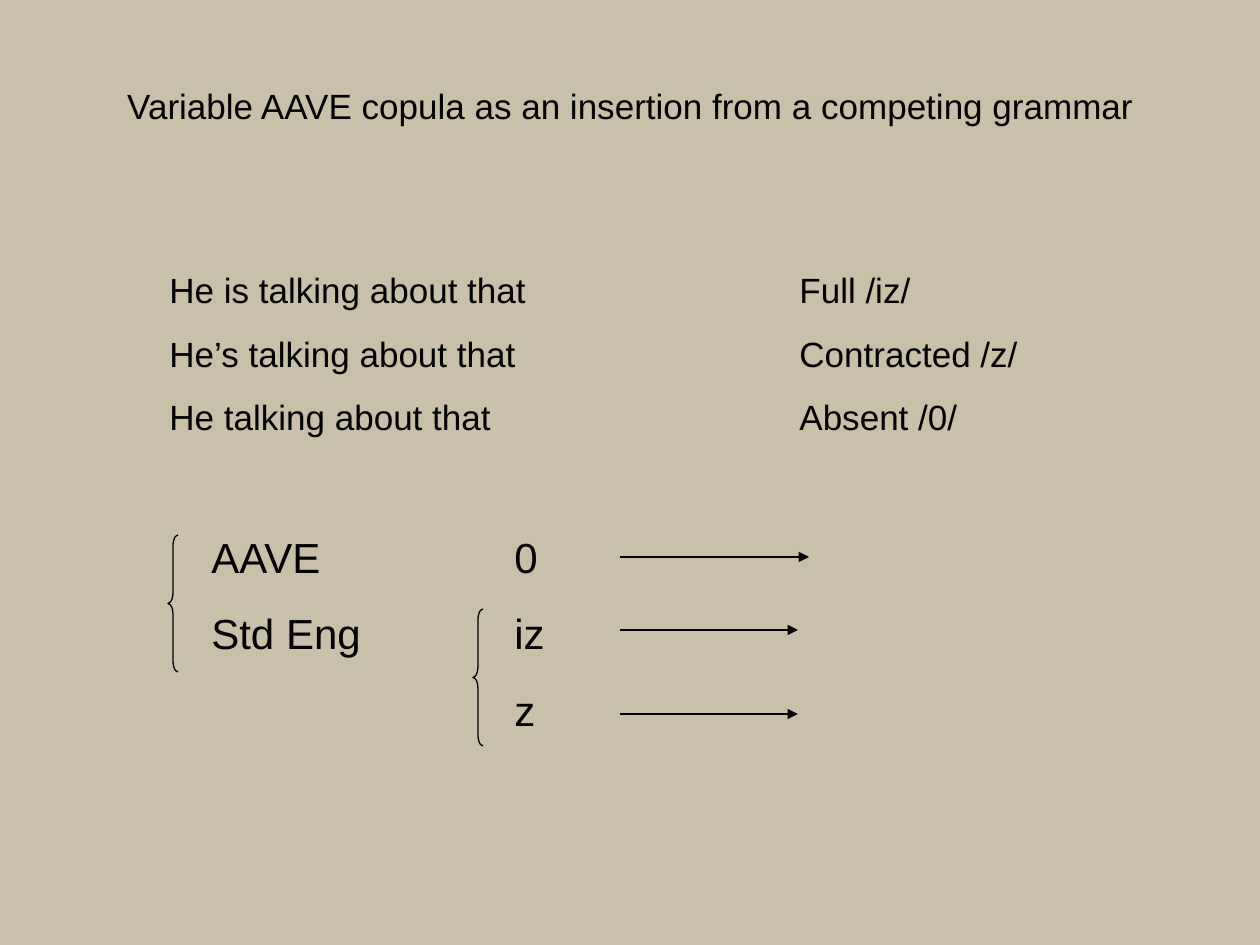
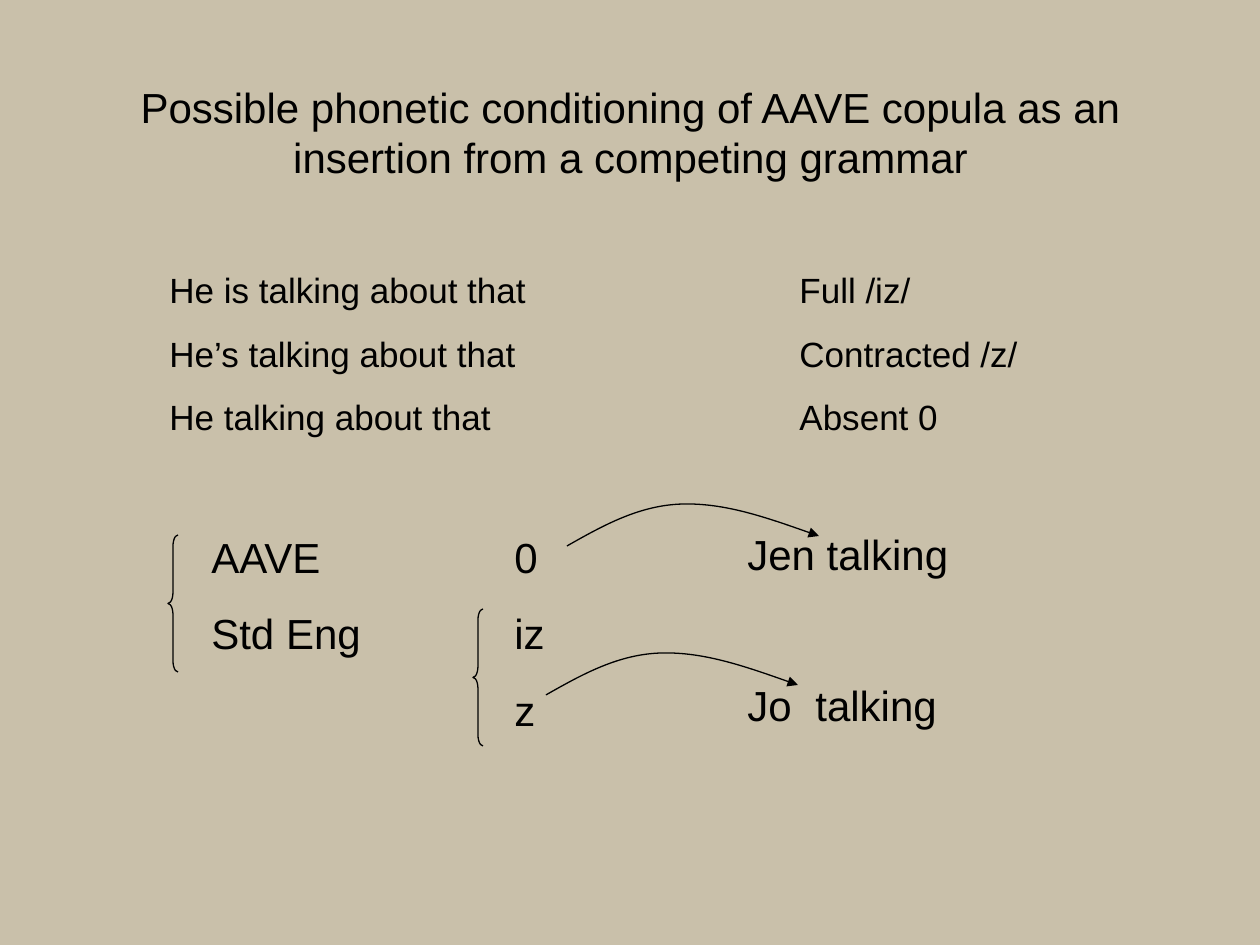
from lxml.etree import SubElement
from pptx import Presentation
from pptx.dml.color import RGBColor
from pptx.enum.shapes import MSO_CONNECTOR, MSO_SHAPE
from pptx.enum.text import MSO_ANCHOR, MSO_AUTO_SIZE, PP_ALIGN
from pptx.oxml.ns import qn
from pptx.util import Inches, Pt

PX = 7257  # EMU in one px, 126 px to the inch
COLORS = {"background": "C9C0AA", "ink": "000000"}
INK = RGBColor.from_string(COLORS["ink"])
FONT = "Arial"


def write(shape, lines, at, size=24, gap=0, tab=None, align=PP_ALIGN.LEFT, anchor=MSO_ANCHOR.TOP):
    """Place a text shape and fill it; gap is the space before each later line."""
    shape.left, shape.top, shape.width, shape.height = (v * PX for v in at)
    frame = shape.text_frame
    frame.word_wrap = True
    frame.auto_size = MSO_AUTO_SIZE.NONE
    frame.vertical_anchor = anchor
    for number, line in enumerate(lines):
        paragraph = frame.add_paragraph() if number else frame.paragraphs[0]
        if tab:
            tabs = SubElement(paragraph._p.get_or_add_pPr(), qn("a:tabLst"))
            SubElement(tabs, qn("a:tab"), pos=str(tab * PX), algn="l")
        paragraph.alignment = align
        paragraph.space_before = Pt(gap if number else 0)
        run = paragraph.add_run()
        run.text = line
        run.font.name = FONT
        run.font.size = Pt(size)
        run.font.color.rgb = INK


def draw_line(shape, arrow=False):
    """Give a shape or connector the thin ink line, without shadow."""
    shape.line.color.rgb = INK
    shape.line.width = Pt(0.75)
    if arrow:
        SubElement(shape.line._get_or_add_ln(), qn("a:tailEnd"), type="triangle")
    SubElement(shape._element.spPr, qn("a:effectLst"))


prs = Presentation()
prs.slide_width, prs.slide_height = Inches(10), Inches(7.5)
background = prs.slide_master.background.fill
background.solid()
background.fore_color.rgb = RGBColor.from_string(COLORS["background"])

TITLES = [
    ("Variable AAVE copula as an insertion from a competing grammar", (95, 63, 1071, 84), 20),
    ("Possible phonetic conditioning of AAVE copula as an insertion from a competing grammar",
     (95, 84, 1071, 95), 24),
]
ABSENT_FORMS = ["/0/", "0"]
GRAMMAR_BRACE, COPULA_BRACE = (168, 535), (473, 609)

# What both slides share: title, example sentences, competing grammars
slides = []
for (title, title_at, title_size), absent in zip(TITLES, ABSENT_FORMS):
    slide = prs.slides.add_slide(prs.slide_layouts[5])
    slides.append(slide)
    write(slide.shapes.title, [title], title_at, title_size,
          align=PP_ALIGN.CENTER, anchor=MSO_ANCHOR.MIDDLE)

    grammars = slide.shapes.add_textbox(0, 0, 0, 0)
    write(grammars, ["AAVE\t0", "Std Eng\tiz", "\tz"], (199, 525, 504, 217), gap=15, tab=303)

    for left, top in (GRAMMAR_BRACE, COPULA_BRACE):
        brace = slide.shapes.add_shape(MSO_SHAPE.LEFT_BRACE, left * PX, top * PX, 10 * PX, 137 * PX)
        brace.adjustments[0] = 1.1
        brace.fill.background()
        draw_line(brace)

    sentences = slide.shapes.add_textbox(0, 0, 0, 0)
    write(sentences,
          ["He is talking about that\tFull /iz/",
           "He’s talking about that\tContracted /z/",
           f"He talking about that\tAbsent {absent}"],
          (157, 262, 903, 183), size=20, gap=12.5, tab=630)

insertion, conditioning = slides

# Slide 1: each copula form points to its outcome
for y, end in ((557, 809), (630, 798), (714, 798)):
    arrow = insertion.shapes.add_connector(MSO_CONNECTOR.STRAIGHT, 620 * PX, y * PX, end * PX, y * PX)
    draw_line(arrow, arrow=True)

# Slide 2: curved arrows lead to the phonetic contexts
contexts = conditioning.shapes.add_textbox(0, 0, 0, 0)
write(contexts, ["Jen talking", "Jo\ttalking"], (735, 522, 410, 217), gap=57.6, tab=68)

BEND = [(37, -21), (73, -41), (116, -42), (158, -43), (204, -27), (252, -10)]
for x, y in ((567, 546), (546, 695)):
    builder = conditioning.shapes.build_freeform(x, y, scale=PX)
    builder.add_line_segments([(x + dx, y + dy) for dx, dy in BEND], close=False)
    curve = builder.convert_to_shape()
    outline = curve._element.find(".//" + qn("a:path"))
    corners = outline.findall(qn("a:lnTo"))
    for first in range(0, len(corners), 3):
        bezier = SubElement(outline, qn("a:cubicBezTo"))
        for corner in corners[first:first + 3]:
            bezier.append(corner[0])
            outline.remove(corner)
    curve.fill.background()
    draw_line(curve, arrow=True)

prs.save("out.pptx")
